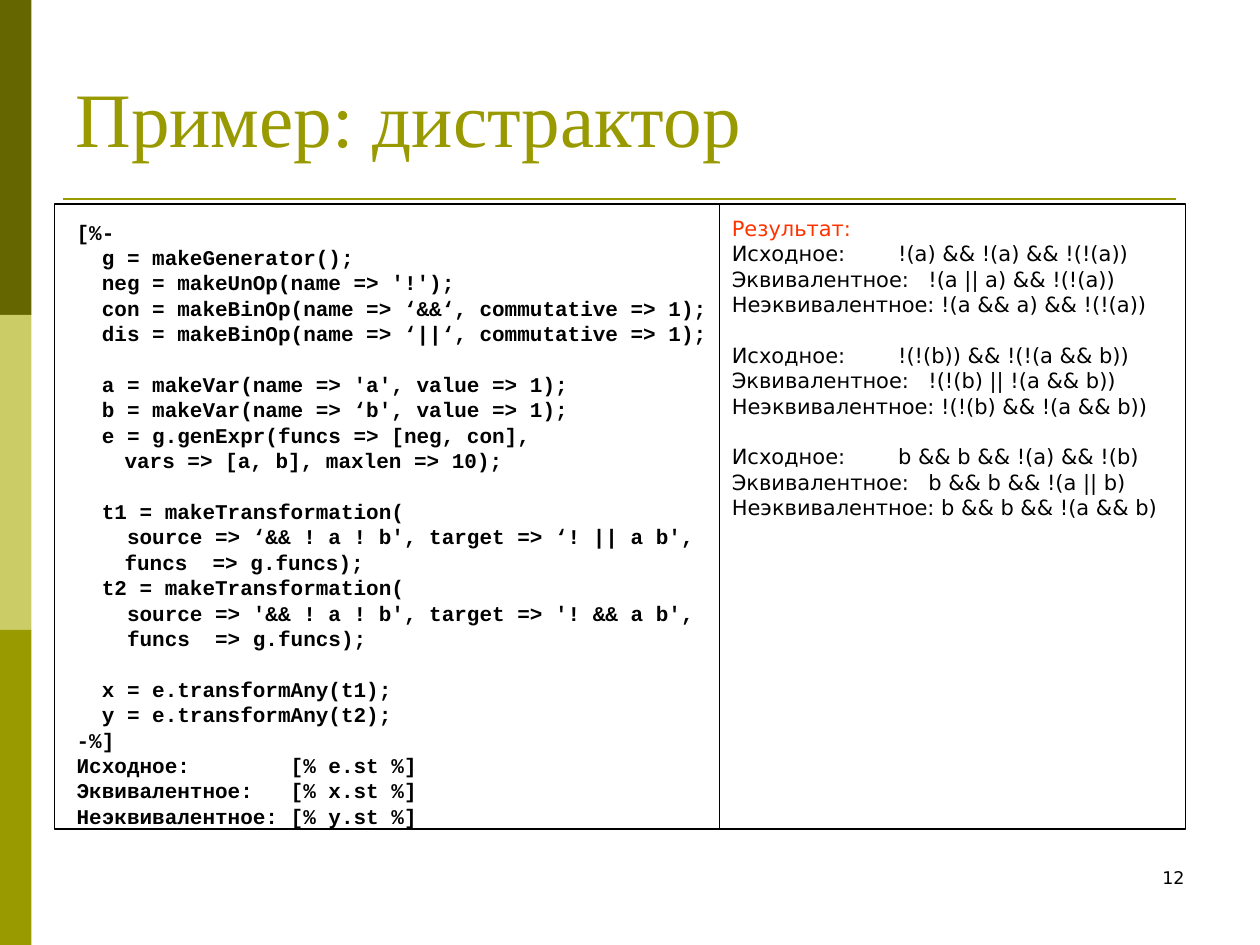
"""Build the distractor example slide: template code beside its result."""
from dataclasses import dataclass

from lxml.etree import SubElement
from pptx import Presentation
from pptx.dml.color import RGBColor
from pptx.enum.shapes import MSO_CONNECTOR, MSO_SHAPE
from pptx.enum.text import MSO_ANCHOR, PP_ALIGN
from pptx.oxml.ns import qn
from pptx.shapes.autoshape import Shape
from pptx.slide import Slide
from pptx.text.text import TextFrame
from pptx.util import Inches, Pt


@dataclass(frozen=True)
class Theme:
    olive: str = "999900"
    dark_olive: str = "666600"
    light_olive: str = "CCCC66"
    black: str = "000000"
    red: str = "FF3300"
    title_font: str = "Times New Roman"
    code_font: str = "Courier New"
    text_font: str = "DejaVu Sans"
    title_size: float = 44
    body_size: float = 12
    number_size: float = 10
    line_height: float = 11.5
    line_gap: float = 3


@dataclass(frozen=True)
class Box:
    left: float
    top: float
    width: float
    height: float

    def lengths(self) -> tuple:
        return tuple(Inches(value) for value in (self.left, self.top, self.width, self.height))


@dataclass(frozen=True)
class Line:
    text: str
    tab: float = 0
    color: str = "000000"


THEME = Theme()
BLOCK_GAP = THEME.line_height + 2 * THEME.line_gap

CODE_BLOCKS = (
    """[%-
  g = makeGenerator();
  neg = makeUnOp(name => '!');
  con = makeBinOp(name => ‘&&‘, commutative => 1);
  dis = makeBinOp(name => ‘||‘, commutative => 1);""",
    """  a = makeVar(name => 'a', value => 1);
  b = makeVar(name => ‘b', value => 1);
  e = g.genExpr(funcs => [neg, con],
\tvars => [a, b], maxlen => 10);""",
    """  t1 = makeTransformation(
    source => ‘&& ! a ! b', target => ‘! || a b',
\tfuncs  => g.funcs);
  t2 = makeTransformation(
    source => '&& ! a ! b', target => '! && a b',
    funcs  => g.funcs);""",
    """  x = e.transformAny(t1);
  y = e.transformAny(t2);
-%]
Исходное:        [% e.st %]
Эквивалентное:   [% x.st %]
Неэквивалентное: [% y.st %]""",
)
RESULTS = (
    ("!(a) && !(a) && !(!(a))", "!(a || a) && !(!(a))", "!(a && a) && !(!(a))"),
    ("!(!(b)) && !(!(a && b))", "!(!(b) || !(a && b))", "!(!(b) && !(a && b))"),
    ("b && b && !(a) && !(b)", "b && b && !(a || b)", "b && b && !(a && b)"),
)


def write_text(frame: TextFrame, text: str, *, font: str, size: float, color: str,
               bold: bool = False, align: PP_ALIGN = PP_ALIGN.LEFT, tab: float = 0,
               line_height: float = 0, space_before: float = 0) -> None:
    """Write text into the first empty paragraph or a new one."""
    first = not frame.paragraphs[0].runs
    paragraph = frame.paragraphs[0] if first else frame.add_paragraph()
    if tab:
        tab_list = SubElement(paragraph._p.get_or_add_pPr(), qn("a:tabLst"))
        SubElement(tab_list, qn("a:tab"), pos=str(Inches(tab)), algn="l")
    paragraph.alignment = align
    if line_height:
        paragraph.line_spacing = Pt(line_height)
    if not first:
        paragraph.space_before = Pt(space_before)
    run = paragraph.add_run()
    run.text = text
    run.font.name, run.font.size, run.font.bold = font, Pt(size), bold
    run.font.color.rgb = RGBColor.from_string(color)


def add_rectangle(slide: Slide, box: Box, fill: str = "", outline: str = "") -> Shape:
    """Add a rectangle with an optional fill and outline."""
    shape = slide.shapes.add_shape(MSO_SHAPE.RECTANGLE, *box.lengths())
    shape.shadow.inherit = False
    if fill:
        shape.fill.solid()
        shape.fill.fore_color.rgb = RGBColor.from_string(fill)
    else:
        shape.fill.background()
    if outline:
        shape.line.color.rgb = RGBColor.from_string(outline)
        shape.line.width = Pt(0.75)
    else:
        shape.line.fill.background()
    return shape


def add_text_frame(slide: Slide, box: Box, top_inset: float = 0.05) -> TextFrame:
    """Add a wrapping text box and return its frame."""
    frame = slide.shapes.add_textbox(*box.lengths()).text_frame
    frame.word_wrap = True
    frame.margin_top = Inches(top_inset)
    return frame


def add_blocks(frame: TextFrame, blocks: list[list[Line]], *, font: str,
               bold: bool = False) -> None:
    """Write blocks of lines with a wider gap between blocks."""
    for block in blocks:
        for index, line in enumerate(block):
            write_text(frame, line.text, font=font, size=THEME.body_size, color=line.color,
                       bold=bold, tab=line.tab, line_height=THEME.line_height,
                       space_before=THEME.line_gap if index else BLOCK_GAP)


def add_rule(slide: Slide) -> None:
    """Add the rule below the title."""
    rule = slide.shapes.add_connector(MSO_CONNECTOR.STRAIGHT, Inches(0.5), Inches(1.58),
                                      Inches(9.33), Inches(1.58))
    rule.line.color.rgb = RGBColor.from_string(THEME.olive)
    rule.line.width = Pt(1.5)
    SubElement(rule._element.spPr, qn("a:effectLst"))


def add_title(slide: Slide) -> None:
    """Place and format the title."""
    title = slide.shapes.title
    title.left, title.top, title.width, title.height = Box(0.5, 0.3, 9, 1.25).lengths()
    title.text_frame.vertical_anchor = MSO_ANCHOR.MIDDLE
    write_text(title.text_frame, "Пример: дистрактор", font=THEME.title_font,
               size=THEME.title_size, color=THEME.olive)


def result_blocks() -> list[list[Line]]:
    """Return the labelled result lines, headed by a red caption."""
    labels = (("Исходное:\t", 1.32), ("Эквивалентное:\t", 1.56), ("Неэквивалентное: ", 0))
    blocks = [[Line(label + value, tab) for (label, tab), value in zip(labels, values)]
              for values in RESULTS]
    blocks[0].insert(0, Line("Результат:", color=THEME.red))
    return blocks


def main() -> None:
    """Build and save the presentation."""
    presentation = Presentation()
    presentation.slide_width, presentation.slide_height = Inches(10), Inches(7.5)
    slide = presentation.slides.add_slide(presentation.slide_layouts[5])
    for index, color in enumerate((THEME.dark_olive, THEME.light_olive, THEME.olive)):
        add_rectangle(slide, Box(0, 2.5 * index, 0.25, 2.5), fill=color)
    add_rule(slide)
    add_title(slide)
    for left, width in ((0.43, 5.28), (5.71, 3.7)):
        add_rectangle(slide, Box(left, 1.62, width, 4.96), outline=THEME.black)
    code = [[Line(text, 0.38 if text.startswith("\t") else 0) for text in block.splitlines()]
            for block in CODE_BLOCKS]
    add_blocks(add_text_frame(slide, Box(0.51, 1.7, 6.22, 4.95), 0.08), code,
               font=THEME.code_font, bold=True)
    add_blocks(add_text_frame(slide, Box(5.71, 1.7, 3.62, 3.39)), result_blocks(),
               font=THEME.text_font)
    write_text(add_text_frame(slide, Box(7.17, 6.83, 2.33, 0.5)), "12", font=THEME.text_font,
               size=THEME.number_size, color=THEME.black, align=PP_ALIGN.RIGHT)
    presentation.save("out.pptx")


if __name__ == "__main__":
    main()
